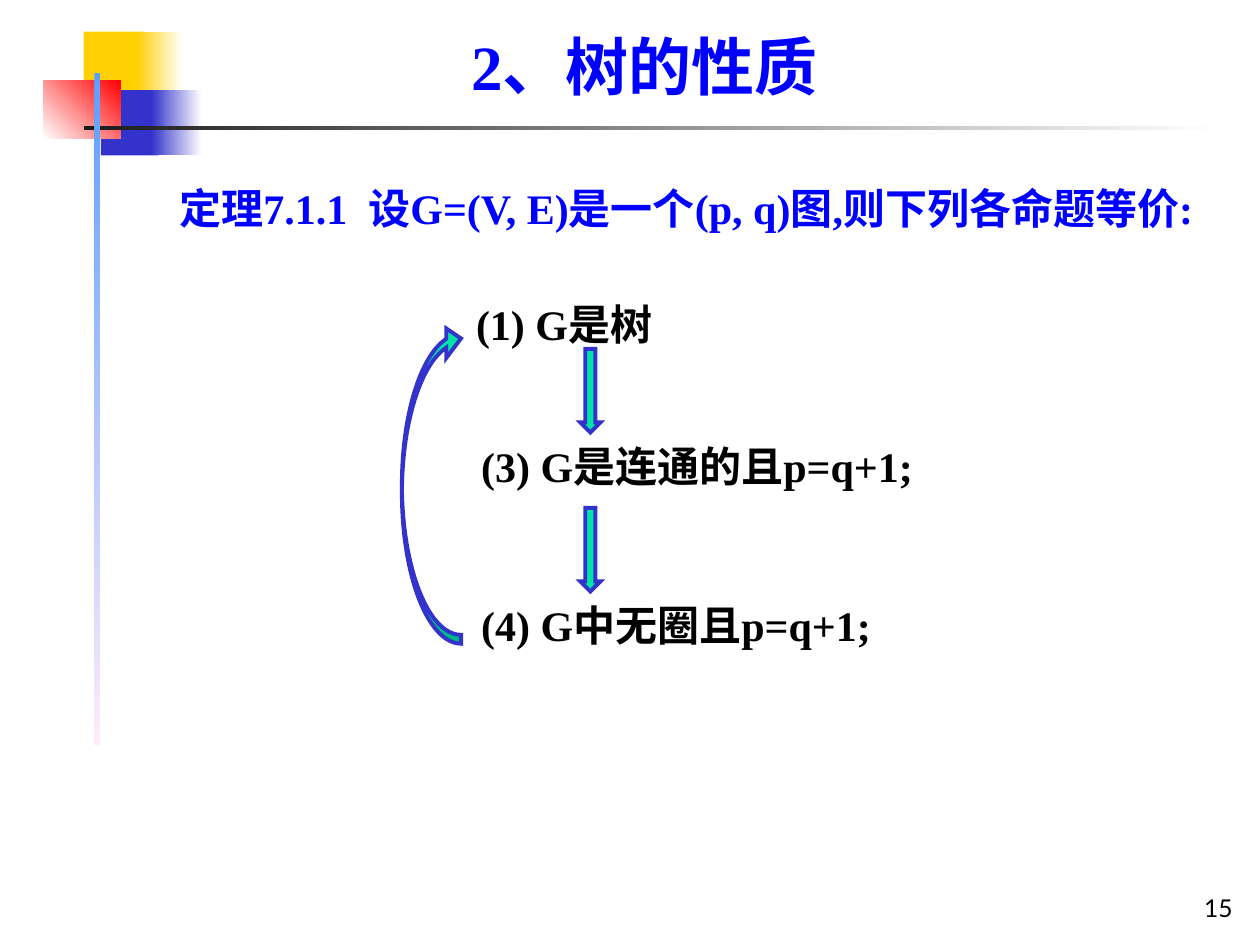
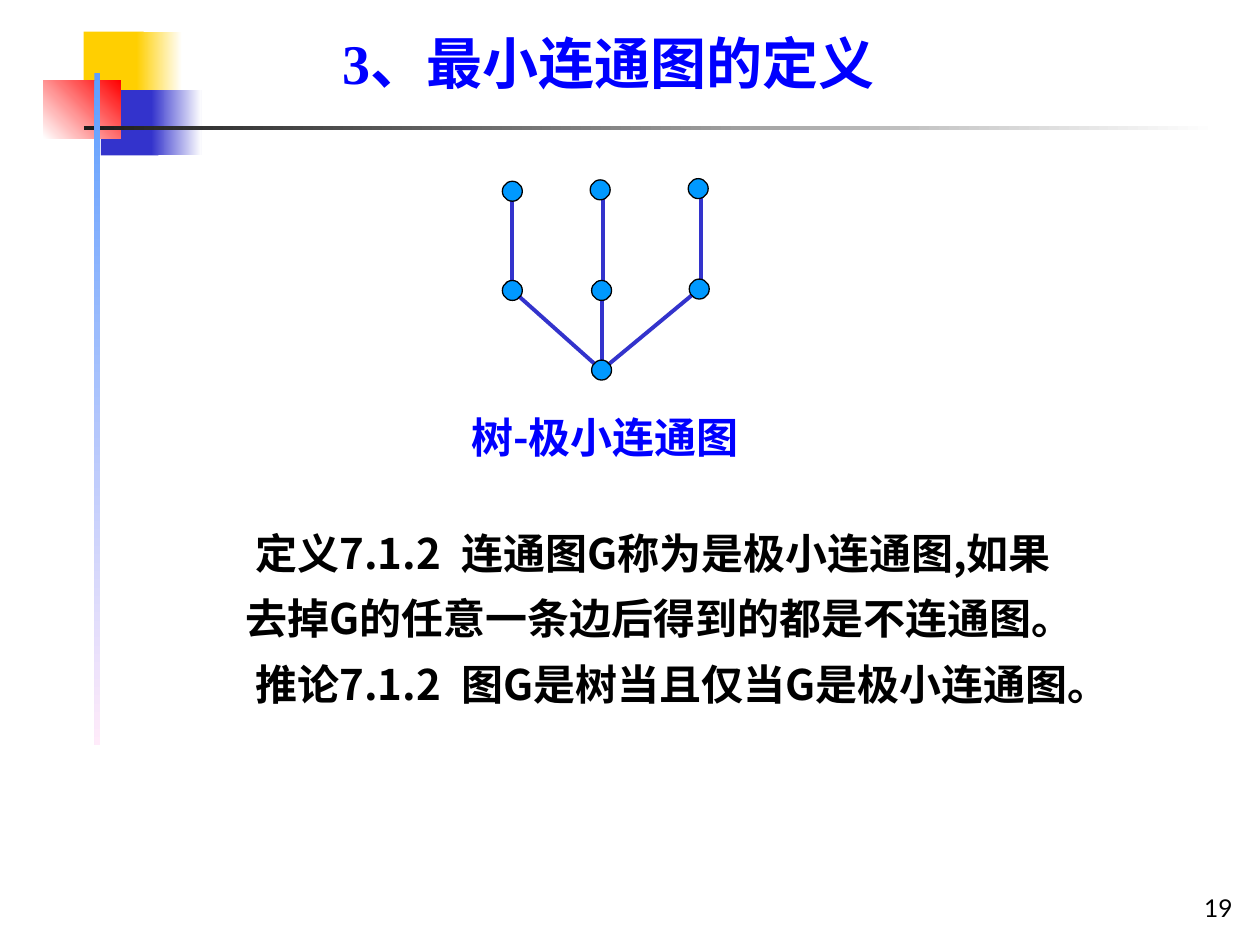
"""Two slides on trees: the equivalence theorem and minimal connected graphs."""
from dataclasses import dataclass

from lxml import etree
from pptx import Presentation
from pptx.dml.color import RGBColor
from pptx.enum.shapes import MSO_CONNECTOR, MSO_SHAPE
from pptx.enum.text import MSO_ANCHOR, MSO_AUTO_SIZE, PP_ALIGN
from pptx.oxml.ns import qn
from pptx.util import Pt

RECT, OVAL, DOWN_ARROW = MSO_SHAPE.RECTANGLE, MSO_SHAPE.OVAL, MSO_SHAPE.DOWN_ARROW
CURVED_ARROW = MSO_SHAPE.CURVED_RIGHT_ARROW
STRAIGHT = MSO_CONNECTOR.STRAIGHT
TOP, BOTTOM = MSO_ANCHOR.TOP, MSO_ANCHOR.BOTTOM
LEFT, RIGHT = PP_ALIGN.LEFT, PP_ALIGN.RIGHT
NO_AUTOFIT = MSO_AUTO_SIZE.NONE

COLORS = {
    "text": "000000", "heading": "0000FF", "white": "FFFFFF", "yellow": "FFCF01",
    "indigo": "3333CC", "red": "FF0000", "rule": "1C1C1C", "sky": "5E9EFF",
    "pink": "FFEBFA", "arrow": "00E4A8", "node": "0099FF",
}
SERIF, CJK, NUMBER_FONT = "Times New Roman", "Noto Sans CJK SC", "Lato"
NODE_SIZE = 11.4


@dataclass(frozen=True)
class Band:
    """A rectangle of the slide decoration, with an optional gradient end."""
    left: float
    top: float
    width: float
    height: float
    start: str
    end: str = ""
    angle: int = 0


@dataclass(frozen=True)
class Statement:
    """One of the equivalent statements of the theorem."""
    text: str
    left: float
    top: float
    width: float


@dataclass(frozen=True)
class Branch:
    """A branch of the tree: its upper edge and the two nodes on it."""
    edge_x: float
    tip: tuple[float, float]
    joint: tuple[float, float]


BANDS = [
    Band(47.8, 18, 34.3, 37.5, "yellow"),
    Band(78, 18, 26, 37.5, "yellow", "white"),
    Band(57.6, 51.6, 33, 37.2, "indigo"),
    Band(86.4, 51.6, 28.8, 37.2, "indigo", "white"),
    Band(24.8, 45.8, 44.2, 33.4, "white", "red", 45),
    Band(48, 72, 648, 2.5, "rule", "white"),
    Band(53.9, 41.8, 3.5, 384, "sky", "pink", 270),
]
STATEMENTS = [
    Statement("(1) G是树", 272, 174, 126),
    Statement("(3) G是连通的且p=q+1;", 275, 255, 290),
    Statement("(4) G中无圈且p=q+1;", 275, 345.8, 262),
]
ARROW_TOPS = [199.4, 290.2]
BRANCHES = [
    Branch(292.8, (292.8, 109.3), (292.8, 166)),
    Branch(344.4, (343, 108.5), (343.8, 166)),
    Branch(400.5, (399, 107.8), (399.6, 165.2)),
]
ROOT = (343.8, 211.5)


def rgb(name: str) -> RGBColor:
    """Look up a palette colour."""
    return RGBColor.from_string(COLORS[name])


def paint(shape, fill: str, line: str = "", weight: float = 0) -> None:
    """Give a shape a flat fill, an optional sharp outline and no shadow."""
    shape.shadow.inherit = False
    shape.fill.solid()
    shape.fill.fore_color.rgb = rgb(fill)
    if not line:
        shape.line.fill.background()
        return
    shape.line.color.rgb = rgb(line)
    shape.line.width = Pt(weight)
    outline = shape._element.spPr.find(qn("a:ln"))
    etree.SubElement(outline, qn("a:miter"), lim="800000")


def add_figure(slide, kind, box: tuple):
    """Add a preset shape in a box given in points."""
    return slide.shapes.add_shape(kind, *(Pt(v) for v in box))


def set_frame(shape, box: tuple, anchor=TOP, inset: tuple = (0, 0)):
    """Place a text shape and return its wrapped text frame."""
    shape.left, shape.top, shape.width, shape.height = (Pt(v) for v in box)
    frame = shape.text_frame
    frame.word_wrap = True
    frame.auto_size = NO_AUTOFIT
    frame.vertical_anchor = anchor
    frame.margin_left = frame.margin_right = Pt(inset[0])
    frame.margin_top = frame.margin_bottom = Pt(inset[1])
    return frame


def write(paragraph, text: str, *, label: str = "", size: float = 24,
          font: str = SERIF, color: str = "text", bold: bool = True, align=LEFT,
          spacing: float = 0.9, before: float = 0, margin: float = 0,
          indent: float = 0) -> None:
    """Write formatted text, after an optional label and a widened space."""
    paragraph.alignment = align
    paragraph.line_spacing = spacing
    paragraph.space_before = Pt(before)
    properties = paragraph._p.get_or_add_pPr()
    properties.set("marL", str(Pt(margin)))
    properties.set("indent", str(Pt(indent)))
    etree.SubElement(properties, qn("a:buNone"))
    for part in (label, " ", text) if label else (text,):
        run = paragraph.add_run()
        run.text = part
        run.font.size = Pt(size)
        run.font.name = font
        run.font.bold = bold
        run.font.color.rgb = rgb(color)
        east_asian = etree.Element(qn("a:ea"), typeface=CJK)
        run.font._rPr.find(qn("a:latin")).addnext(east_asian)
        if part == " ":
            run.font._rPr.set("spc", "600")


def add_label(slide, text: str, box: tuple, *, anchor=TOP, inset: tuple = (0, 0),
              **style) -> None:
    """Add a text box with one formatted paragraph."""
    label = slide.shapes.add_textbox(0, 0, 0, 0)
    write(set_frame(label, box, anchor, inset).paragraphs[0], text, **style)


def start_slide(deck, title: str, title_box: tuple, title_size: float, number: int):
    """Add a slide with the shared bands, its title and its number."""
    slide = deck.slides.add_slide(deck.slide_layouts[1])
    for band in BANDS:
        shape = add_figure(slide, RECT, (band.left, band.top, band.width, band.height))
        paint(shape, band.start)
        if band.end:
            shape.fill.gradient()
            shape.fill.gradient_angle = band.angle
            for stop, color in zip(shape.fill.gradient_stops, (band.start, band.end)):
                stop.color.rgb = rgb(color)
    heading = set_frame(slide.shapes.title, title_box)
    write(heading.paragraphs[0], title, size=title_size, color="heading")
    add_label(slide, str(number), (561.6, 494.6, 149.8, 36), anchor=BOTTOM,
              inset=(7.2, 3.6), size=14, font=NUMBER_FONT, bold=False,
              align=RIGHT, spacing=1.0)
    return slide


def add_return_arrow(slide) -> None:
    """Draw the curved arrow from the last statement back to the first."""
    arrow = add_figure(slide, CURVED_ARROW, (229.7, 185, 33.8, 182.9))
    for index, share in enumerate((0.15, 0.5, 0.25)):
        arrow.adjustments[index] = share
    arrow._element.spPr.find(qn("a:xfrm")).set("flipV", "1")
    paint(arrow, "arrow", "indigo", 2.25)


def add_edge(slide, start: tuple, end: tuple) -> None:
    """Draw a tree edge."""
    edge = slide.shapes.add_connector(STRAIGHT, *(Pt(v) for v in start + end))
    edge.line.color.rgb = rgb("indigo")
    edge.line.width = Pt(2.25)
    etree.SubElement(edge._element.spPr, qn("a:effectLst"))


def build_theorem(deck) -> None:
    """Build the slide with the equivalent statements."""
    slide = start_slide(deck, "2、树的性质", (269.3, 20.5, 212, 39), 36, 15)
    theorem = set_frame(slide.placeholders[1], (59, 107.8, 641.5, 52))
    write(theorem.paragraphs[0], "设G=(V, E)是一个(p, q)图,则下列各命题等价:",
          label="定理7.1.1", color="heading", indent=43.5)
    for statement in STATEMENTS:
        add_label(slide, statement.text,
                  (statement.left, statement.top, statement.width, 26))
    add_return_arrow(slide)
    for top in ARROW_TOPS:
        paint(add_figure(slide, DOWN_ARROW, (331.6, top, 11.5, 47.8)),
              "arrow", "indigo", 2.25)


def build_minimal_graph(deck) -> None:
    """Build the slide defining the minimal connected graph."""
    slide = start_slide(deck, "3、最小连通图的定义", (195.6, 20.5, 335, 34.6), 32, 19)
    definitions = set_frame(slide.placeholders[1], (113, 292.8, 510.5, 178))
    indented = dict(font=CJK, margin=27.4, indent=5.6)
    write(definitions.paragraphs[0],
          "连通图G称为是极小连通图,如果去掉G的任意一条边后得到的都是不连通图。",
          label="定义7.1.2", spacing=1.3, **indented)
    write(definitions.add_paragraph(), "图G是树当且仅当G是极小连通图。",
          label="推论7.1.2", before=12, **indented)
    for branch in BRANCHES:
        add_edge(slide, (branch.edge_x, branch.tip[1]), (branch.edge_x, branch.joint[1]))
        add_edge(slide, branch.joint, ROOT)
    nodes = [node for branch in BRANCHES for node in (branch.tip, branch.joint)]
    for x, y in nodes + [ROOT]:
        corner = (x - NODE_SIZE / 2, y - NODE_SIZE / 2)
        paint(add_figure(slide, OVAL, corner + (NODE_SIZE, NODE_SIZE)),
              "node", "text", 0.75)
    add_label(slide, "树-极小连通图", (269.3, 238.3, 170, 52), font=CJK, color="heading")


def main() -> None:
    """Build and save the presentation."""
    deck = Presentation()
    deck.slide_width, deck.slide_height = Pt(720), Pt(540)
    build_theorem(deck)
    build_minimal_graph(deck)
    deck.save("out.pptx")


if __name__ == "__main__":
    main()
